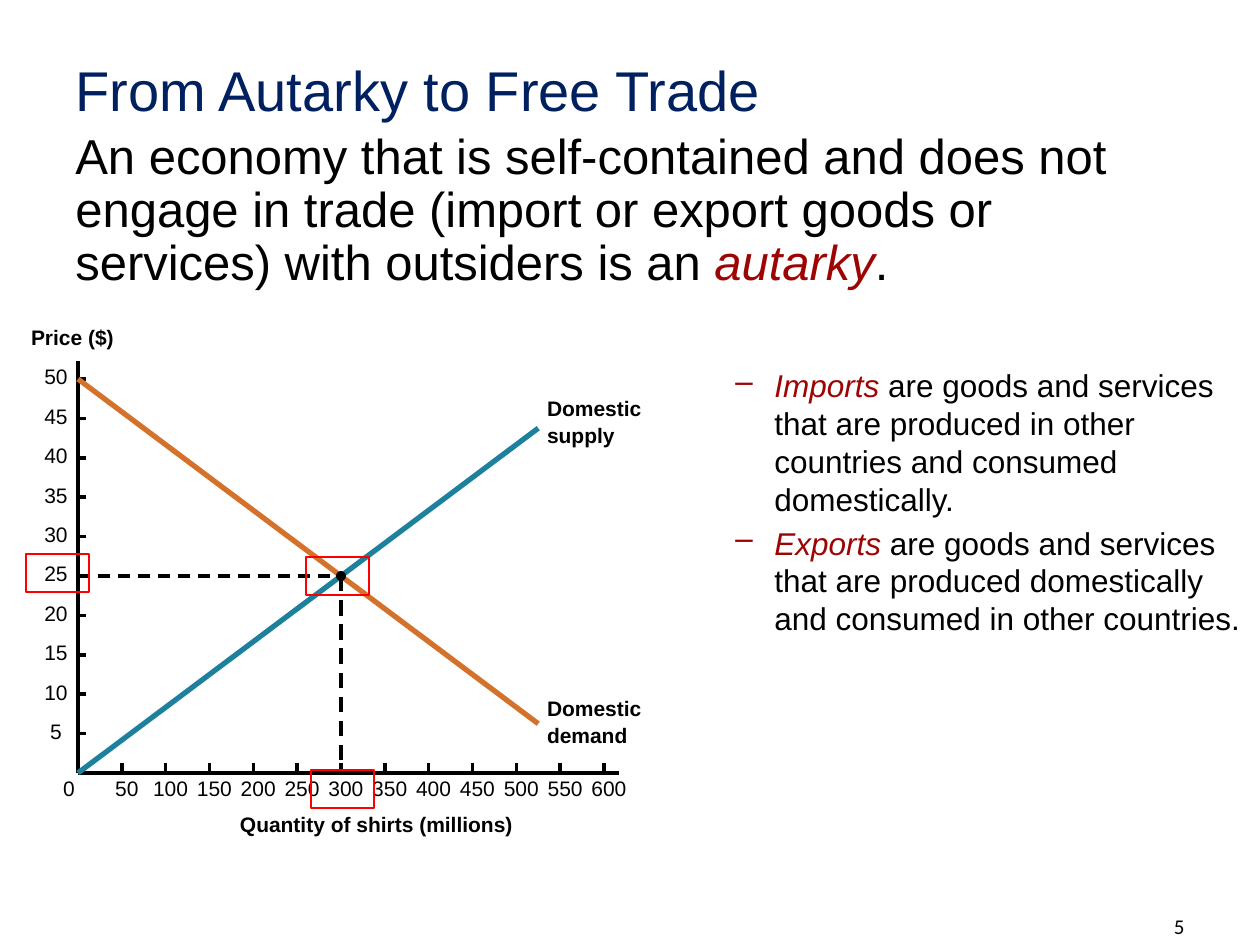
"""Build the autarky slide with a supply and demand graph."""
from lxml import etree
from pptx import Presentation
from pptx.dml.color import RGBColor
from pptx.enum.shapes import MSO_CONNECTOR, MSO_SHAPE
from pptx.enum.text import MSO_ANCHOR, PP_ALIGN
from pptx.oxml.ns import qn
from pptx.util import Emu, Pt

LINE = MSO_CONNECTOR.STRAIGHT
RECT, OVAL = MSO_SHAPE.RECTANGLE, MSO_SHAPE.OVAL
LEFT, MID, RIGHT = PP_ALIGN.LEFT, PP_ALIGN.CENTER, PP_ALIGN.RIGHT
TOP, CENTER, BOTTOM = MSO_ANCHOR.TOP, MSO_ANCHOR.MIDDLE, MSO_ANCHOR.BOTTOM
BLACK = RGBColor(0x00, 0x00, 0x00)
NAVY = RGBColor(0x00, 0x20, 0x60)
CRIMSON = RGBColor(0x9D, 0x05, 0x05)
TEAL = RGBColor(0x1D, 0x81, 0x9E)
ORANGE = RGBColor(0xD4, 0x71, 0x2B)
RED = RGBColor(0xFF, 0x00, 0x00)
ZERO_X, ZERO_Y = 78, 773
WIDE, HIGH = 526, 394
MAX_Q, MAX_P = 600, 50


def px(num):
    """Turn pixels into EMU."""
    return Emu(round(num * 914400 / 126))


def at_q(num):
    """Give the x of a quantity."""
    return ZERO_X + num * WIDE / MAX_Q


def at_p(num):
    """Give the y of a price."""
    return ZERO_Y - num * HIGH / MAX_P


def style(para, size, color=BLACK, bold=False, face="Arial"):
    """Set the font of a paragraph."""
    font = para.font
    font.name, font.size, font.bold = face, Pt(size), bold
    font.color.rgb = color


def add_runs(para, parts):
    """Fill a paragraph with (words, is term) pairs."""
    for words, term in parts:
        run = para.add_run()
        run.text = words
        if term:
            run.font.italic = True
            run.font.color.rgb = CRIMSON


def add_box(slide, area, anchor=TOP):
    """Add a wrapping text frame."""
    frame = slide.shapes.add_textbox(*map(px, area)).text_frame
    frame.word_wrap = True
    frame.vertical_anchor = anchor
    return frame


def add_label(slide, words, left, top, width, align=LEFT, bold=False):
    """Add one line of graph text."""
    frame = add_box(slide, (left, top, width, 35))
    frame.word_wrap = False
    frame.margin_left = frame.margin_right = 0
    frame.margin_top = frame.margin_bottom = 0
    para = frame.paragraphs[0]
    para.text, para.alignment = words, align
    style(para, 12, bold=bold)


def add_line(slide, start, end, color=BLACK, width=0):
    """Draw a straight line without shadow."""
    line = slide.shapes.add_connector(LINE, *map(px, (*start, *end)))
    line.line.color.rgb = color
    line.line.width = Pt(width)
    etree.SubElement(line._element.spPr, qn("a:effectLst"))


def add_shape(slide, kind, area, fill=None, edge=None):
    """Add a filled or outlined shape."""
    shape = slide.shapes.add_shape(kind, *map(px, area))
    shape.shadow.inherit = False
    if fill is None:
        shape.fill.background()
    else:
        shape.fill.solid()
        shape.fill.fore_color.rgb = fill
    if edge is None:
        shape.line.fill.background()
    else:
        shape.line.color.rgb = edge
        shape.line.width = Pt(1)


def add_dashes(slide, start, end, count, part):
    """Draw dashes at equal steps, the last one cut at the end."""
    (x1, y1), (x2, y2) = start, end
    for num in range(count):
        head = num / (count - 0.84)
        tail = min(head + part / (count - 0.84), 1)
        ends = [(x1 + (x2 - x1) * pos, y1 + (y2 - y1) * pos) for pos in (head, tail)]
        add_line(slide, *ends)


def add_axes(slide):
    """Draw both axes with ticks and labels."""
    zero = (ZERO_X, ZERO_Y)
    add_line(slide, zero, (ZERO_X, 361))
    add_line(slide, zero, (619, ZERO_Y))
    for price in range(5, MAX_P + 1, 5):
        y = at_p(price)
        add_line(slide, (ZERO_X, y), (ZERO_X + 8, y))
        add_label(slide, str(price), 43, y - 15, 26, MID)
    add_label(slide, "0", 62, 776, 14, MID)
    for amount in range(50, MAX_Q + 1, 50):
        x = at_q(amount)
        add_line(slide, (x, ZERO_Y), (x, ZERO_Y - 10))
        add_label(slide, str(amount), x - 15, 776, 40, MID)
    add_label(slide, "Price ($)", 31, 325, 95, bold=True)
    add_label(slide, "Quantity of shirts (millions)", 240, 812, 312, bold=True)


def add_curves(slide):
    """Draw supply, demand and the point where they meet."""
    end = at_q(525)
    curves = (("supply", 0, 43.75, TEAL, 396), ("demand", 50, 6.25, ORANGE, 696))
    for name, first, last, color, top in curves:
        add_line(slide, (ZERO_X, at_p(first)), (end, at_p(last)), color, 3)
        for row, words in enumerate(("Domestic", name)):
            add_label(slide, words, 547, top + 27 * row, 107, bold=True)
    x, y = at_q(300), at_p(25)
    add_dashes(slide, (x, y), (x, ZERO_Y), 9, 0.64)
    add_dashes(slide, (ZERO_X, y), (x, y), 14, 0.62)
    add_shape(slide, OVAL, (x - 5, y - 5, 10, 10), fill=BLACK)


def add_terms(slide):
    """Add the dashed list of terms."""
    frame = add_box(slide, (660, 360, 594, 553))
    terms = (
        ("Imports ", "are goods and services that are produced in other "
         "countries and consumed domestically."),
        ("Exports ", "are goods and services that are produced domestically "
         "and consumed in other countries."),
    )
    for num, (term, words) in enumerate(terms):
        para = frame.add_paragraph() if num else frame.paragraphs[0]
        add_runs(para, ((term, True), (words, False)))
        style(para, 18)
        para.level = 1
        para.space_before = Pt(3.6)
        props = para._p.get_or_add_pPr()
        props.set("marL", str(px(102)))
        props.set("indent", str(px(-39)))
        bullet = etree.Element(qn("a:buChar"), char="–")
        props.find(qn("a:defRPr")).addprevious(bullet)


def add_heads(slide):
    """Add the title, the definition and the page number."""
    title = add_box(slide, (63, 38, 1134, 110), CENTER).paragraphs[0]
    title.text, title.line_spacing = "From Autarky to Free Trade", 0.9
    style(title, 32, NAVY)
    body = add_box(slide, (63, 126, 1134, 745)).paragraphs[0]
    body.line_spacing, body.space_before = 0.9, Pt(7.5)
    add_runs(body, (
        ("An economy that is self-contained and does not engage in trade "
         "(import or export goods or services) with outsiders is an ", False),
        ("autarky", True), (".", False)))
    style(body, 28)
    page = add_box(slide, (1092, 914, 105, 31), BOTTOM).paragraphs[0]
    page.text, page.alignment = "5", RIGHT
    style(page, 12, face="Calibri")


def main():
    """Build and save the slide."""
    deck = Presentation()
    deck.slide_width, deck.slide_height = px(1260), px(945)
    slide = deck.slides.add_slide(deck.slide_layouts[6])
    add_heads(slide)
    add_axes(slide)
    add_curves(slide)
    add_terms(slide)
    for left, top in ((306, 557), (311, 770), (26, 554)):
        add_shape(slide, RECT, (left, top, 63, 38), edge=RED)
    deck.save("out.pptx")


if __name__ == "__main__":
    main()
